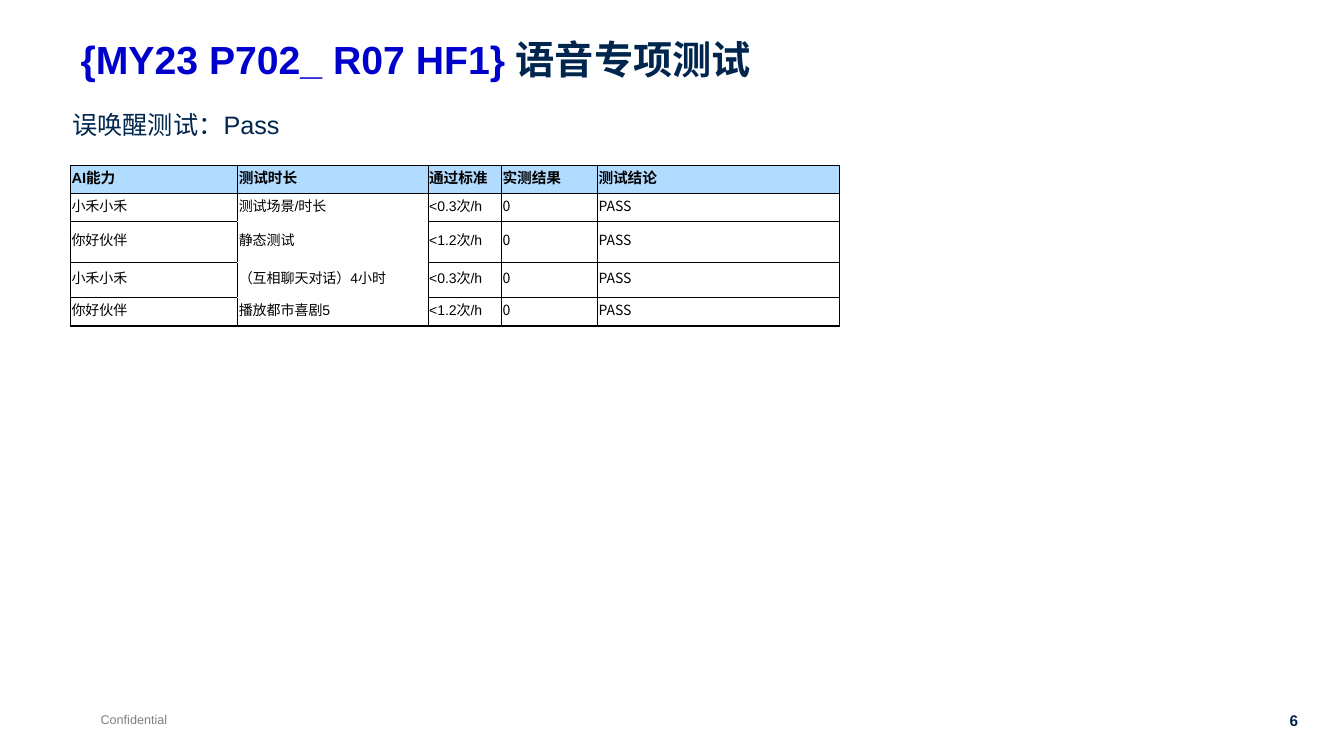
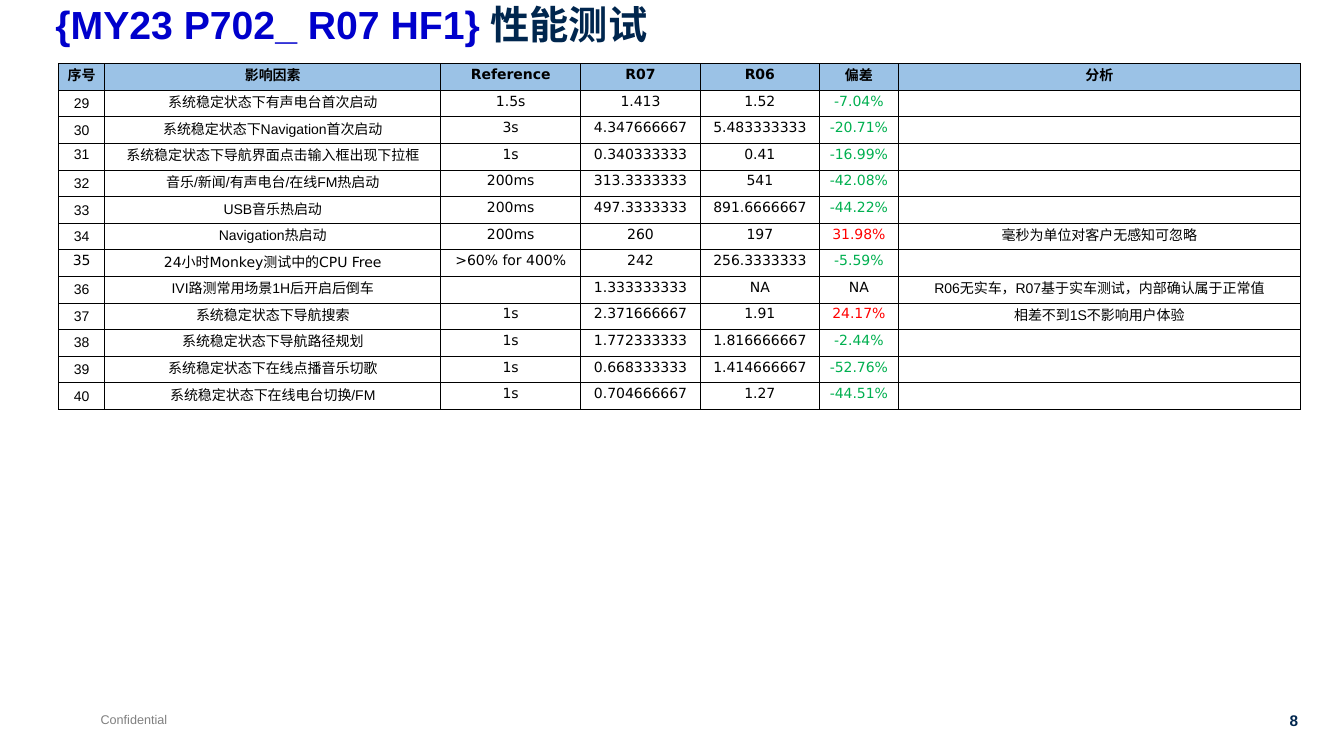
"""Build the voice and performance test report slides."""

from lxml.etree import SubElement
from pptx import Presentation
from pptx.dml.color import RGBColor
from pptx.enum.text import MSO_ANCHOR, MSO_AUTO_SIZE, PP_ALIGN
from pptx.oxml.ns import qn
from pptx.util import Pt

COLORS = {
    "white": "FFFFFF",
    "black": "000000",
    "navy": "00264E",
    "blue": "0000CC",
    "gray": "808080",
    "voice_header": "B2DCFF",
    "performance_header": "9BC2E6",
    "better": "00B050",
    "worse": "FF0000",
}
LATIN = "Arial"
CHINESE = "Noto Sans CJK SC"
FIGURES = "DejaVu Sans"

VOICE_HEADER = ["AI能力", "测试时长", "通过标准", "实测结果", "测试结论"]
VOICE_ROWS = [
    ["小禾小禾", "测试场景/时长", "<0.3次/h", "0", "PASS"],
    ["你好伙伴", "静态测试", "<1.2次/h", "0", "PASS"],
    ["小禾小禾", "（互相聊天对话）4小时", "<0.3次/h", "0", "PASS"],
    ["你好伙伴", "播放都市喜剧5", "<1.2次/h", "0", "PASS"],
]
PERFORMANCE_HEADER = ["序号", "影响因素", "Reference", "R07", "R06", "偏差", "分析"]
PERFORMANCE_ROWS = [
    ["29", "系统稳定状态下有声电台首次启动", "1.5s", "1.413", "1.52", "-7.04%", ""],
    ["30", "系统稳定状态下Navigation首次启动", "3s", "4.347666667", "5.483333333", "-20.71%", ""],
    ["31", "系统稳定状态下导航界面点击输入框出现下拉框", "1s", "0.340333333", "0.41", "-16.99%", ""],
    ["32", "音乐/新闻/有声电台/在线FM热启动", "200ms", "313.3333333", "541", "-42.08%", ""],
    ["33", "USB音乐热启动", "200ms", "497.3333333", "891.6666667", "-44.22%", ""],
    ["34", "Navigation热启动", "200ms", "260", "197", "31.98%", "毫秒为单位对客户无感知可忽略"],
    ["35", "24小时Monkey测试中的CPU Free", ">60% for 400%", "242", "256.3333333", "-5.59%", ""],
    ["36", "IVI路测常用场景1H后开启后倒车", "", "1.333333333", "NA", "NA",
     "R06无实车，R07基于实车测试，内部确认属于正常值"],
    ["37", "系统稳定状态下导航搜索", "1s", "2.371666667", "1.91", "24.17%", "相差不到1S不影响用户体验"],
    ["38", "系统稳定状态下导航路径规划", "1s", "1.772333333", "1.816666667", "-2.44%", ""],
    ["39", "系统稳定状态下在线点播音乐切歌", "1s", "0.668333333", "1.414666667", "-52.76%", ""],
    ["40", "系统稳定状态下在线电台切换/FM", "1s", "0.704666667", "1.27", "-44.51%", ""],
]


def write_text(paragraph, text, font=LATIN, size=10, color="black", bold=False,
               align=PP_ALIGN.LEFT):
    paragraph.alignment = align
    if not text:
        SubElement(paragraph._p, qn("a:endParaRPr"), sz=str(size * 100))
        return
    run = paragraph.add_run()
    run.text = text
    run.font.size = Pt(size)
    run.font.bold = bold
    run.font.color.rgb = RGBColor.from_string(COLORS[color])
    run.font.name = font
    SubElement(run._r.get_or_add_rPr(), qn("a:ea"), typeface=CHINESE)


class Report:
    def __init__(self):
        self.presentation = Presentation()
        self.presentation.slide_width = Pt(960)
        self.presentation.slide_height = Pt(540)
        self.slide = None

    def add_slide(self, topic, number, left, top):
        layout = self.presentation.slide_layouts[5]
        self.slide = self.presentation.slides.add_slide(layout)
        self.add_title(topic, left, top)
        self.add_text("Confidential", 64.8, 504.7, 62.6, 18, wrap=False,
                      size=9, color="gray")
        self.add_text(number, 906.5, 504.7, 28, 21, wrap=False, size=11,
                      color="navy", bold=True, align=PP_ALIGN.RIGHT)

    def add_title(self, topic, left, top):
        title = self.slide.shapes.title
        title.left, title.top = Pt(left), Pt(top)
        title.width, title.height = Pt(853), Pt(45.4)
        frame = title.text_frame
        frame.auto_size = MSO_AUTO_SIZE.NONE
        frame.word_wrap = True
        frame.vertical_anchor = MSO_ANCHOR.TOP
        frame.margin_top = frame.margin_bottom = Pt(0)
        paragraph = frame.paragraphs[0]
        paragraph.line_spacing = 0.9
        write_text(paragraph, "{MY23 P702_ R07 HF1} ", size=28, color="blue", bold=True)
        write_text(paragraph, topic, size=28, color="navy", bold=True)

    def add_text(self, text, left, top, width, height, wrap=True, **text_format):
        box = self.slide.shapes.add_textbox(Pt(left), Pt(top), Pt(width), Pt(height))
        box.text_frame.word_wrap = wrap
        write_text(box.text_frame.paragraphs[0], text, **text_format)

    def add_table(self, rows, left, top, widths, heights, style_cell):
        table = self.slide.shapes.add_table(
            len(rows), len(widths), Pt(left), Pt(top), Pt(sum(widths)), Pt(sum(heights))
        ).table
        table.first_row = table.horz_banding = False
        for column, width in zip(table.columns, widths):
            column.width = Pt(width)
        for row, height in zip(table.rows, heights):
            row.height = Pt(height)
        for row_index, values in enumerate(rows):
            for column_index, text in enumerate(values):
                style = style_cell(row_index, column_index, values)
                self.fill_cell(table.cell(row_index, column_index), text, **style)

    def fill_cell(self, cell, text, fill="white", anchor=MSO_ANCHOR.MIDDLE,
                  line_width=1, open_sides="", **text_format):
        cell.margin_left = cell.margin_right = cell.margin_top = Pt(0.7)
        cell.margin_bottom = Pt(3.6)
        cell.vertical_anchor = anchor
        properties = cell._tc.get_or_add_tcPr()
        for side in "LRTB":
            line = SubElement(properties, qn(f"a:ln{side}"), w=str(Pt(line_width)))
            color = "white" if side in open_sides else "black"
            solid = SubElement(line, qn("a:solidFill"))
            SubElement(solid, qn("a:srgbClr"), val=COLORS[color])
        cell.fill.solid()
        cell.fill.fore_color.rgb = RGBColor.from_string(COLORS[fill])
        write_text(cell.text_frame.paragraphs[0], text, **text_format)


def style_voice_cell(row_index, column_index, values):
    if row_index == 0:
        return {"fill": "voice_header", "size": 10.5, "bold": True}
    style = {"font": CHINESE if column_index >= 3 else LATIN}
    if column_index == 1:
        top = "T" if row_index > 1 else ""
        bottom = "B" if row_index < len(VOICE_ROWS) else ""
        style["open_sides"] = top + bottom
    return style


def style_performance_cell(row_index, column_index, values):
    style = {"line_width": 0.5, "align": PP_ALIGN.CENTER}
    if row_index == 0:
        font = FIGURES if column_index in (2, 3, 4) else LATIN
        return {**style, "fill": "performance_header", "bold": True, "font": font}
    is_label = column_index in (0, 1, 6)
    if not is_label or values[0] == "35":
        style["font"] = FIGURES
    if is_label and values[0] not in ("31", "35"):
        style["anchor"] = MSO_ANCHOR.BOTTOM
    if column_index == 5 and values[5] != "NA":
        style["color"] = "better" if values[5].startswith("-") else "worse"
    return style


def main():
    report = Report()
    report.add_slide("语音专项测试", "6", 50.4, 28.8)
    report.add_text("误唤醒测试：Pass", 44.6, 74.2, 311, 51, size=18, color="navy")
    report.add_table([VOICE_HEADER] + VOICE_ROWS, 50.4, 118,
                     [119.5, 136, 52.5, 68.5, 173], [20, 20, 29.5, 25, 20.5],
                     style_voice_cell)

    report.add_slide("性能测试", "8", 32.4, 4.3)
    performance_table = [PERFORMANCE_HEADER] + PERFORMANCE_ROWS
    report.add_table(performance_table, 41.8, 45.4,
                     [33, 240, 100, 85.5, 85, 56.5, 287],
                     [19] * len(performance_table), style_performance_cell)
    report.presentation.save("out.pptx")


if __name__ == "__main__":
    main()
